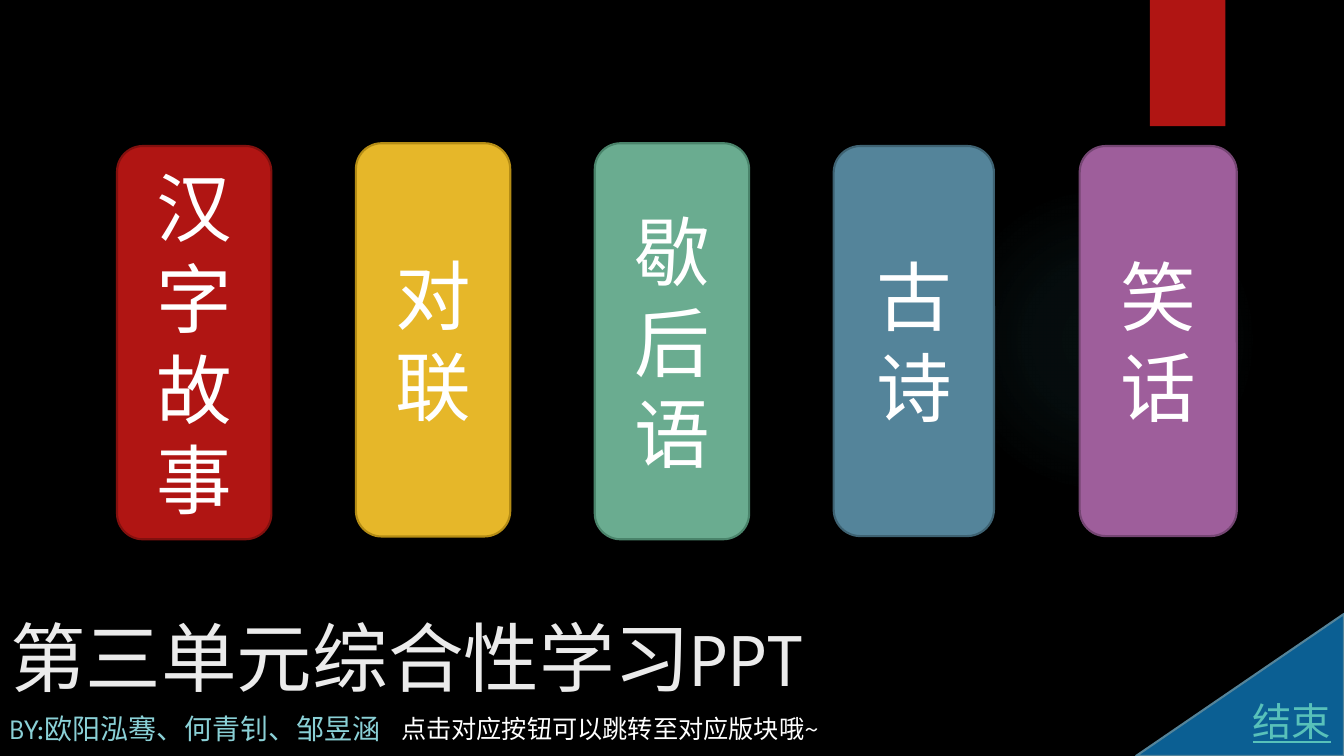
from dataclasses import dataclass

from lxml.etree import SubElement
from pptx import Presentation
from pptx.dml.color import RGBColor as RGB
from pptx.enum.shapes import MSO_SHAPE as Kind
from pptx.enum.text import MSO_ANCHOR as Anchor, MSO_AUTO_SIZE as Fit, PP_ALIGN as Align
from pptx.oxml.ns import qn
from pptx.util import Cm, Pt


@dataclass(frozen=True)
class Theme:
    back: str = "000000"
    red: str = "B01513"
    gold: str = "E6B729"
    green: str = "6AAC90"
    blue: str = "54849A"
    plum: str = "9E5E9B"
    navy: str = "0B5F93"
    glow: str = "50B9C1"
    pale: str = "EBEBEB"
    white: str = "FFFFFF"
    aqua: str = "8AD0D6"
    link: str = "58C1BA"
    head: str = "League Spartan"
    body: str = "Lato"
    hans: str = "Noto Sans CJK SC"
    big: int = 54
    mid: int = 28
    sub: int = 20
    note: int = 18


T = Theme()


def style(frame, size, color, face, align=Align.LEFT, anchor=Anchor.TOP):
    frame.vertical_anchor = anchor
    for para in frame.paragraphs:
        para.alignment = align
        font = para.font
        font.size, font.name = Pt(size), face
        font.color.rgb = RGB.from_string(color)


def panel(slide, kind, box, fill, edge=None, shade=0):
    shape = slide.shapes.add_shape(kind, *map(Cm, box))
    shape.shadow.inherit = False
    shape.fill.solid()
    shape.fill.fore_color.rgb = RGB.from_string(fill)
    if edge:
        shape.line.color.rgb = RGB.from_string(edge)
        shape.line.color.brightness = shade
        shape.line.width = Pt(1.5)
    else:
        shape.line.fill.background()
    return shape


def glow(slide, box):
    """Add a disc that fades out from its centre."""
    disc = panel(slide, Kind.OVAL, box, T.glow)
    props = disc.fill._xPr
    old = props.find(qn("a:solidFill"))
    grad = SubElement(props, qn("a:gradFill"), rotWithShape="1")
    props.replace(old, grad)
    stops = SubElement(grad, qn("a:gsLst"))
    for pos, alpha in ((0, 7), (36, 6), (69, 0)):
        stop = SubElement(stops, qn("a:gs"), pos=str(pos * 1000))
        color = SubElement(stop, qn("a:srgbClr"), val=T.glow)
        SubElement(color, qn("a:alpha"), val=str(alpha * 1000))
    way = SubElement(grad, qn("a:path"), path="circle")
    SubElement(way, qn("a:fillToRect"), l="50000", t="50000", r="50000", b="50000")


def cards(slide, left, top):
    """Add the row of five topic buttons."""
    step, alt = 6.02, Kind.FLOWCHART_ALTERNATE_PROCESS
    rows = (
        ("汉字故事", T.red, alt, 0, 0.07, 3.89, 9.91),
        ("对联", T.gold, alt, 0, 0, 3.89, 9.91),
        ("歇\n后\n语", T.green, alt, 0, 0, 3.89, 9.98),
        ("古诗", T.blue, alt, 0, 0.07, 4.04, 9.83),
        ("笑话", T.plum, Kind.ROUNDED_RECTANGLE, 0.18, 0.07, 3.96, 9.83),
    )
    for i, (text, fill, kind, dx, dy, wide, high) in enumerate(rows):
        box = (left + i * step + dx, top + dy, wide, high)
        card = panel(slide, kind, box, fill, fill, -0.26)
        card.text_frame.text = text
        style(card.text_frame, T.big, T.white, T.body, Align.CENTER, Anchor.MIDDLE)


def label(slide, box, text, size, color, wrap=True):
    frame = slide.shapes.add_textbox(*map(Cm, box)).text_frame
    frame.word_wrap = wrap
    frame.text = text
    style(frame, size, color, T.head)
    return frame


def footer(slide, left, top):
    """Place the title, with the authors and the hint below it."""
    title = slide.shapes.title
    title.left, title.top = Cm(left), Cm(top)
    title.width, title.height = Cm(21), Cm(2.34)
    title.text = "第三单元综合性学习PPT"
    title.text_frame.auto_size = Fit.NONE
    style(title.text_frame, T.big, T.pale, T.head, anchor=Anchor.BOTTOM)
    names = label(slide, (left, top + 2.34, 15.09, 1.24),
                  "BY:欧阳泓骞、何青钊、邹昱涵", T.sub, T.aqua)
    names.paragraphs[0].space_before = Pt(10)
    label(slide, (left + 9.86, top + 2.39, 11.15, 1.02),
          "点击对应按钮可以跳转至对应版块哦~", T.note, T.white, False)


def corner(slide, box):
    """Add the end button in the corner."""
    shape = panel(slide, Kind.ISOSCELES_TRIANGLE, box, T.navy, T.blue)
    shape.adjustments[0] = 1
    shape.text_frame.text = "结束"
    style(shape.text_frame, T.mid, T.link, T.hans, Align.CENTER, Anchor.MIDDLE)
    shape.text_frame.paragraphs[0].font.underline = True


def main():
    deck = Presentation()
    deck.slide_width, deck.slide_height = Cm(33.87), Cm(19.05)
    slide = deck.slides.add_slide(deck.slide_layouts[5])
    slide.background.fill.solid()
    slide.background.fill.fore_color.rgb = RGB.from_string(T.back)
    glow(slide, (23.9, 4.65, 7.82, 7.82))
    panel(slide, Kind.RECTANGLE, (28.98, 0, 1.9, 3.18), T.red)
    footer(slide, 0, 15.47)
    cards(slide, 2.95, 3.61)
    corner(slide, (28.63, 15.47, 5.24, 3.58))
    deck.save("out.pptx")


if __name__ == "__main__":
    main()
